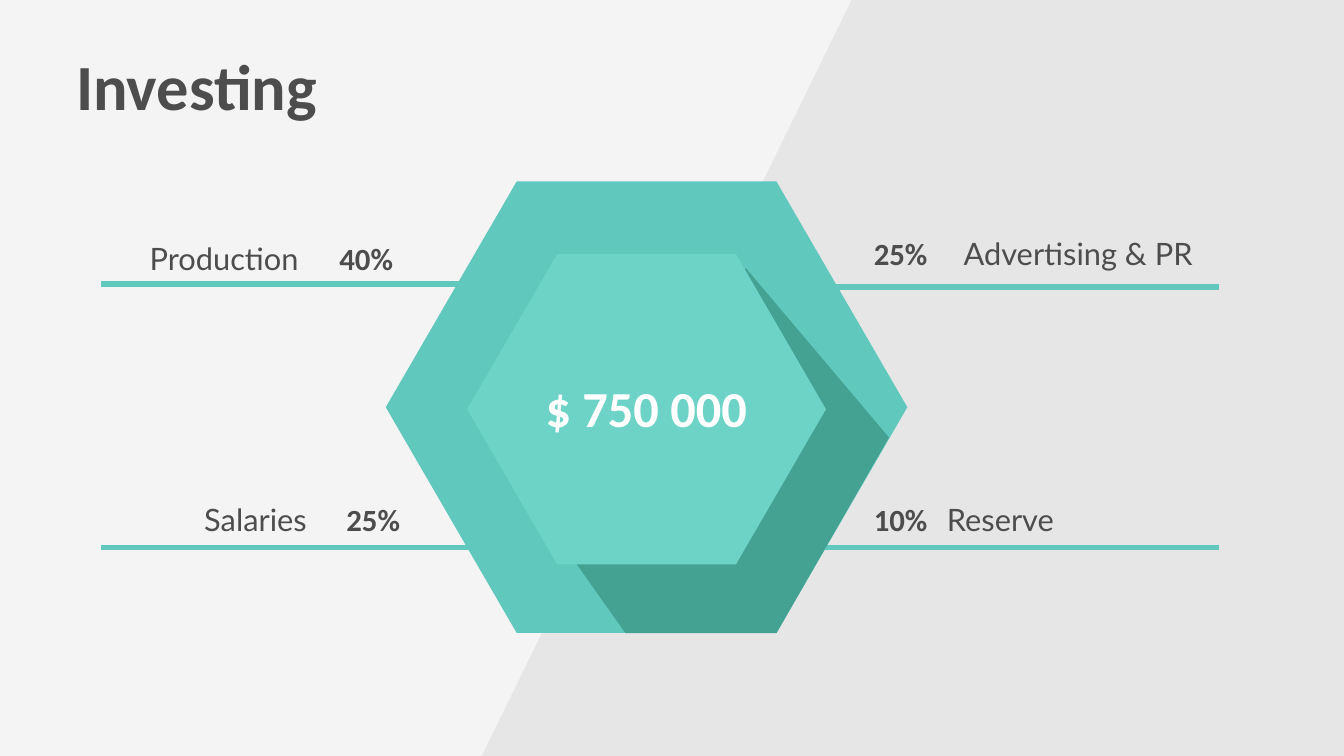
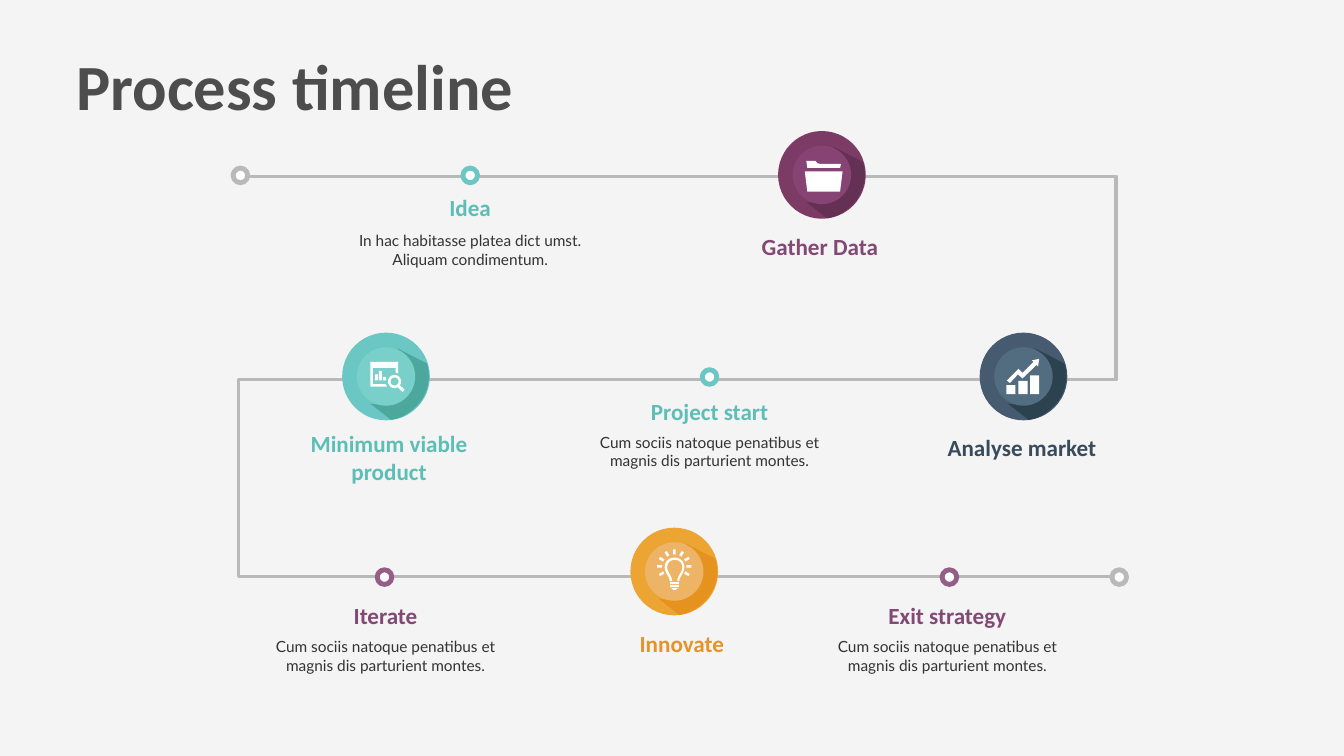
from dataclasses import dataclass
from math import cos, pi, radians, sin

from lxml import etree
from pptx import Presentation
from pptx.dml.color import RGBColor
from pptx.enum.shapes import MSO_CONNECTOR, MSO_SHAPE
from pptx.enum.text import MSO_ANCHOR, PP_ALIGN
from pptx.oxml.ns import qn
from pptx.util import Cm, Pt

LEFT, CENTER = PP_ALIGN.LEFT, PP_ALIGN.CENTER
TOP, MIDDLE = MSO_ANCHOR.TOP, MSO_ANCHOR.MIDDLE
HEXAGON, OVAL = MSO_SHAPE.HEXAGON, MSO_SHAPE.OVAL
STRAIGHT = MSO_CONNECTOR.STRAIGHT
BLANK_LAYOUT = 6


@dataclass(frozen=True)
class Theme:
    width: float = 26.67
    height: float = 15
    background: str = "F4F4F4"
    panel: str = "E6E6E6"
    ink: str = "4D4D4D"
    body: str = "333333"
    white: str = "FFFFFF"
    track: str = "B9B9B9"
    teal: str = "61C8BE"
    teal_light: str = "6DD3C7"
    teal_dark: str = "44A292"
    teal_text: str = "5CBEB6"
    teal_dot: str = "6BC7C3"
    plum_text: str = "814974"
    plum_dot: str = "945F87"
    navy_text: str = "374B5D"
    orange_text: str = "E59428"
    heading_font: str = "Calibri"
    body_font: str = "Lato"
    title_size: int = 92
    total_size: int = 72
    label_size: int = 44
    heading_size: int = 33
    body_size: int = 22
    inset: float = 0.06


THEME = Theme()
# Rim, shadow and centre colours of each badge
PLUM = ("7B3B65", "643053", "874374")
NAVY = ("465A70", "2C424F", "526C80")
TEAL = ("6BC7C3", "4CA79C", "79D0CB")
ORANGE = ("ECA433", "E5921F", "EDB468")


def length(inches):
    return Cm(inches * 2.54)


def rgb(code):
    return RGBColor.from_string(code)


def style(shape, fill=None, line=None, line_width=0):
    shape.shadow.inherit = False
    if fill:
        shape.fill.solid()
        shape.fill.fore_color.rgb = rgb(fill)
    else:
        shape.fill.background()
    if line:
        shape.line.color.rgb = rgb(line)
        shape.line.width = Pt(line_width)
    else:
        shape.line.fill.background()


def add_outline(slide, contours, origin=(0, 0), closed=True, **look):
    """Draw one freeform from contours placed relative to origin."""
    contours = [[(length(origin[0] + x), length(origin[1] + y)) for x, y in contour]
                for contour in contours]
    builder = slide.shapes.build_freeform(*contours[0][0], scale=1.0)
    for index, contour in enumerate(contours):
        if index:
            builder.move_to(*contour[0])
        builder.add_line_segments(contour[1:], close=closed)
    style(builder.convert_to_shape(), **look)


def add_centered(slide, kind, center, width, height, **look):
    left, top = center[0] - width / 2, center[1] - height / 2
    shape = slide.shapes.add_shape(
        kind, length(left), length(top), length(width), length(height))
    style(shape, **look)
    return shape


def add_rule(slide, start, end, y):
    rule = slide.shapes.add_connector(
        STRAIGHT, length(start), length(y), length(end), length(y))
    rule.line.color.rgb = rgb(THEME.teal)
    rule.line.width = Pt(8)
    etree.SubElement(rule._element.spPr, qn("a:effectLst"))


def add_text(slide, box, paragraphs, size, color, align=LEFT, anchor=MIDDLE,
             inset=THEME.inset, tabs=()):
    """Write paragraphs of (text, bold) runs; bold runs use the heading font."""
    text_box = slide.shapes.add_textbox(*[length(value) for value in box])
    frame = text_box.text_frame
    frame.word_wrap = True
    frame.vertical_anchor = anchor
    frame.margin_left = frame.margin_right = length(inset)
    frame.margin_top = frame.margin_bottom = length(inset)
    for index, runs in enumerate(paragraphs):
        paragraph = frame.add_paragraph() if index else frame.paragraphs[0]
        paragraph.alignment = align
        if tabs:
            properties = paragraph._p.get_or_add_pPr()
            tab_list = etree.SubElement(properties, qn("a:tabLst"))
            for position, side in tabs:
                etree.SubElement(tab_list, qn("a:tab"),
                                 pos=str(length(position)), algn=side)
        for text, bold in runs:
            run = paragraph.add_run()
            run.text = text
            run.font.size = Pt(size)
            run.font.bold = bold
            run.font.name = THEME.heading_font if bold else THEME.body_font
            run.font.color.rgb = rgb(color)


def add_slide(presentation, title):
    slide = presentation.slides.add_slide(presentation.slide_layouts[BLANK_LAYOUT])
    slide.background.fill.solid()
    slide.background.fill.fore_color.rgb = rgb(THEME.background)

    def add_title():
        add_text(slide, (1.51, 0.92, 16, 1.65), [[(title, True)]],
                 THEME.title_size, THEME.ink, anchor=TOP, inset=0)
    return slide, add_title


def curve(start, control_1, control_2, end, steps=10):
    """Return points along a cubic curve."""
    points = []
    for step in range(steps + 1):
        t = step / steps
        weights = ((1 - t) ** 3, 3 * t * (1 - t) ** 2, 3 * t ** 2 * (1 - t), t ** 3)
        corners = (start, control_1, control_2, end)
        points.append(tuple(sum(weight * corner[axis] for weight, corner
                                in zip(weights, corners)) for axis in (0, 1)))
    return points


def rectangle(left, top, right, bottom):
    return [(left, top), (right, top), (right, bottom), (left, bottom)]


def circle(x, y, radius, steps=32):
    angles = [2 * pi * step / steps for step in range(steps)]
    return [(x + radius * cos(angle), y + radius * sin(angle)) for angle in angles]


def ray(degrees):
    """Return one light ray around the bulb, as a turned rectangle."""
    angle = radians(degrees)
    return [(along * cos(angle) - across * sin(angle),
             -0.1 + along * sin(angle) + across * cos(angle))
            for along, across in rectangle(0.24, -0.025, 0.34, 0.025)]


def folder_icon():
    return [
        [(0.36, -0.14), (0.38, -0.22), (-0.04, -0.22), (-0.09, -0.23),
         (-0.13, -0.28), (-0.31, -0.28), (-0.29, -0.14)],
        [(0.36, 0.33), (-0.29, 0.33), (-0.34, -0.07), (0.41, -0.07)],
    ]


def growth_icon():
    arrow = [(0.31, -0.35), (0.17, -0.32), (0.2, -0.29), (-0.02, -0.07),
             (-0.1, -0.15), (-0.33, 0.08), (-0.27, 0.13), (-0.11, -0.04),
             (-0.02, 0.04), (0.26, -0.23), (0.29, -0.2)]
    bars = [(-0.34, 0.17), (-0.1, 0.09), (0.13, -0.02)]
    return [arrow] + [rectangle(x, top, x + 0.18, 0.35) for x, top in bars]


def report_icon():
    window = [(0.02, 0.2), (-0.31, 0.2), (-0.31, -0.29), (0.24, -0.29),
              (0.24, -0.06), (0.19, -0.08), (0.19, -0.17), (-0.26, -0.17),
              (-0.26, 0.15), (-0.01, 0.15)]
    bars = [(-0.22, -0.04), (-0.14, -0.11), (-0.06, 0.01)]
    lens = [circle(0.17, 0.1, 0.13), circle(0.17, 0.1, 0.08)]
    handle = [(0.28, 0.18), (0.37, 0.26), (0.33, 0.31), (0.24, 0.22)]
    return [window, handle] + lens + [
        rectangle(x, top, x + 0.06, 0.08) for x, top in bars]


def bulb_icon():
    glass = (curve((0.2, -0.09), (0.2, 0.03), (0.1, 0.1), (0.1, 0.19))
             + curve((0.06, 0.19), (0.06, 0.08), (0.16, 0.02), (0.16, -0.09))
             + curve((0.16, -0.09), (0.16, -0.28), (-0.14, -0.28), (-0.14, -0.09))
             + curve((-0.14, -0.09), (-0.14, 0.02), (-0.05, 0.07), (-0.04, 0.19))
             + curve((-0.09, 0.19), (-0.09, 0.1), (-0.19, 0.03), (-0.19, -0.09))
             + curve((-0.19, -0.09), (-0.19, -0.34), (0.2, -0.34), (0.2, -0.09)))
    tip = [(-0.06, 0.33), (0.07, 0.33), (0.02, 0.37), (-0.01, 0.37)]
    threads = [rectangle(-0.08, top, 0.09, top + 0.04) for top in (0.21, 0.27)]
    return [glass, tip] + threads + [ray(angle) for angle in range(150, 391, 30)]


def add_badge(slide, center, colors, icon):
    rim, shadow, middle = colors
    add_centered(slide, OVAL, center, 1.74, 1.74, fill=rim)
    cast = (curve((0.1, 0.86), (0.1, 0.86), (0.42, 0.84), (0.69, 0.49))
            + curve((0.69, 0.49), (0.96, 0.12), (0.81, -0.26), (0.81, -0.26))
            + curve((0.22, -0.56), (0.22, -0.56), (0.62, -0.12), (0.35, 0.27))
            + curve((0.35, 0.27), (0.09, 0.64), (-0.31, 0.54), (-0.31, 0.54)))
    add_outline(slide, [cast], center, fill=shadow)
    add_centered(slide, OVAL, center, 1.16, 1.16, fill=middle)
    add_outline(slide, icon, center, fill=THEME.white)


def add_heading(slide, center, top, lines, color, width=5.24):
    height = 0.67 + 0.55 * (len(lines) - 1)
    add_text(slide, (center - width / 2, top, width, height),
             [[(line, True)] for line in lines],
             THEME.heading_size, color, CENTER)


def add_description(slide, center, top, text, width=5.19):
    add_text(slide, (center - width / 2, top, width, 0.86), [[(text, False)]],
             THEME.body_size, THEME.body, CENTER)


def build_investing(presentation):
    slide, add_title = add_slide(presentation, "Investing")
    add_outline(slide, [[(16.9, 0), (THEME.width, 0), (THEME.width, THEME.height),
                         (9.56, THEME.height)]], fill=THEME.panel)
    add_title()
    for start, end, y in [(9.83, 2, 10.86), (9.83, 2, 5.64),
                          (24.19, 16.22, 10.86), (24.19, 16.36, 5.69)]:
        add_rule(slide, start, end, y)
    outer = add_centered(slide, HEXAGON, (12.83, 8.08), 10.35, 8.96, fill=THEME.teal)
    labels = [
        ((2.67, 4.7, 5.33, 0.85), [("\tProduction\t", False), ("40%", True)],
         [(3.2, "r"), (5.07, "r")]),
        ((3.03, 9.87, 4.99, 0.85), [("\tSalaries\t", False), ("25%", True)],
         [(3, "r"), (4.85, "r")]),
        ((17.28, 4.6, 6.92, 0.85), [("25%\t", True), ("Advertising & PR", False)],
         [(1.78, "l")]),
        ((17.28, 9.87, 6.92, 0.85), [("10%\t", True), ("Reserve", False)],
         [(1.45, "l")]),
    ]
    for box, runs, tabs in labels:
        add_text(slide, box, [runs], THEME.label_size, THEME.ink, tabs=tabs)
    add_outline(slide, [[(17.64, 8.68), (15.41, 12.56), (12.41, 12.56),
                         (11.32, 11.02), (14.8, 5.32)]], fill=THEME.teal_dark)
    inner = add_centered(slide, HEXAGON, (12.83, 8.12), 7.12, 6.16,
                         fill=THEME.teal_light)
    for hexagon in (outer, inner):
        hexagon.adjustments[0] = 0.29
    add_text(slide, (10.6, 7.43, 4.45, 1.31), [[("$ 750 000", True)]],
             THEME.total_size, THEME.white, CENTER)


def build_timeline(presentation):
    slide, add_title = add_slide(presentation, "Process timeline")
    add_outline(slide, [[(22.07, 11.44), (4.73, 11.44), (4.73, 7.53), (22.15, 7.53),
                         (22.15, 3.5), (4.9, 3.5)]],
                closed=False, line=THEME.track, line_width=5)
    add_title()
    for center, colors, icon in [((16.31, 3.47), PLUM, folder_icon()),
                                 ((20.31, 7.47), NAVY, growth_icon()),
                                 ((7.66, 7.47), TEAL, report_icon()),
                                 ((13.38, 11.34), ORANGE, bulb_icon())]:
        add_badge(slide, center, colors, icon)
    for center, color in [((9.33, 3.48), THEME.teal_dot), ((4.77, 3.48), THEME.track),
                          ((14.08, 7.48), THEME.teal_dot),
                          ((18.84, 11.45), THEME.plum_dot),
                          ((7.63, 11.45), THEME.plum_dot), ((22.21, 11.45), THEME.track)]:
        add_centered(slide, OVAL, center, 0.29, 0.29,
                     fill=THEME.white, line=color, line_width=7)

    latin = "Cum sociis natoque penatibus et magnis dis parturient montes."
    add_heading(slide, 9.33, 3.78, ["Idea"], THEME.teal_text)
    add_description(slide, 9.33, 4.53, "In hac habitasse platea dict umst. "
                    "Aliquam condimentum.", width=5.44)
    for center, top, heading, color in [(14.08, 7.83, "Project start", THEME.teal_text),
                                        (7.65, 11.88, "Iterate", THEME.plum_text),
                                        (18.8, 11.88, "Exit strategy", THEME.plum_text)]:
        add_heading(slide, center, top, [heading], color)
        add_description(slide, center, top + 0.7, latin)
    add_heading(slide, 16.27, 4.56, ["Gather Data"], THEME.plum_text)
    for center, top, lines, color in [
            (20.28, 8.53, ["Analyse market"], THEME.navy_text),
            (13.53, 12.43, ["Innovate"], THEME.orange_text),
            (7.72, 8.46, ["Minimum viable", "product"], THEME.teal_text)]:
        add_heading(slide, center, top, lines, color, width=3.93)


def main():
    presentation = Presentation()
    presentation.slide_width = length(THEME.width)
    presentation.slide_height = length(THEME.height)
    build_investing(presentation)
    build_timeline(presentation)
    presentation.save("out.pptx")


if __name__ == "__main__":
    main()
